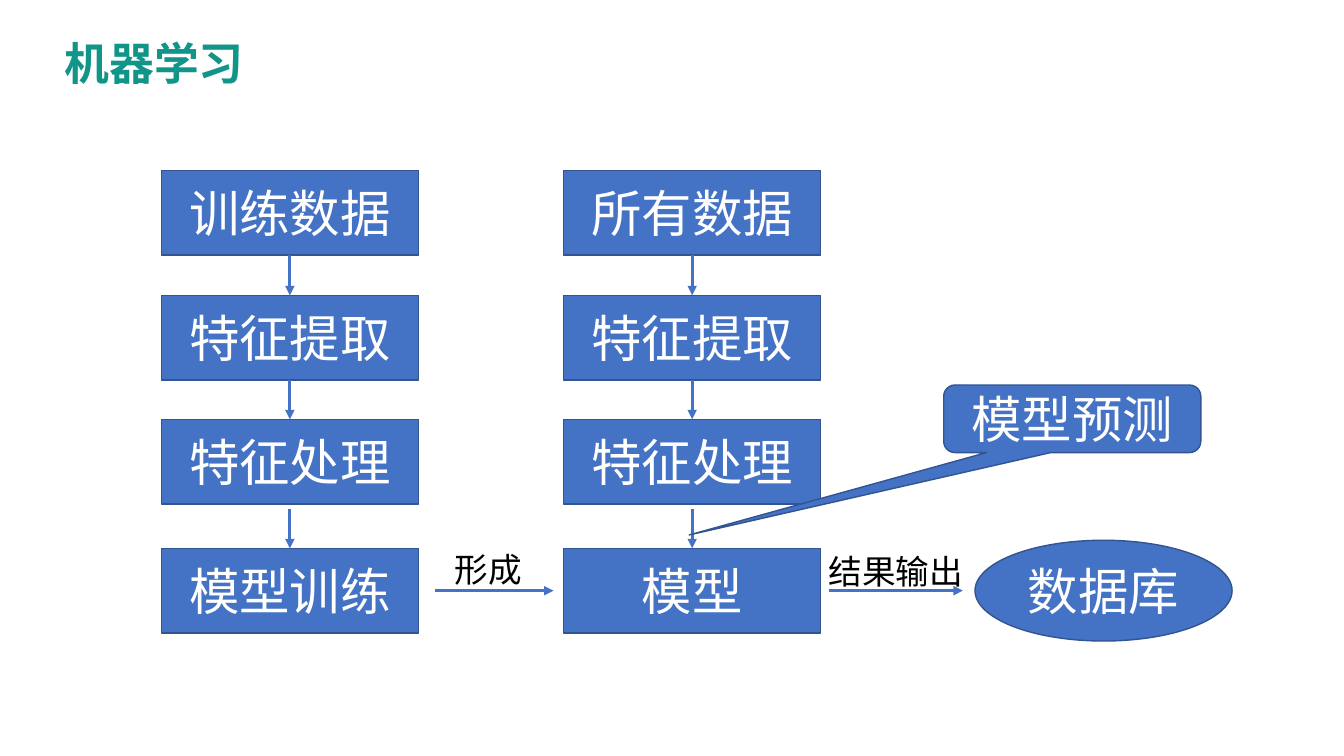
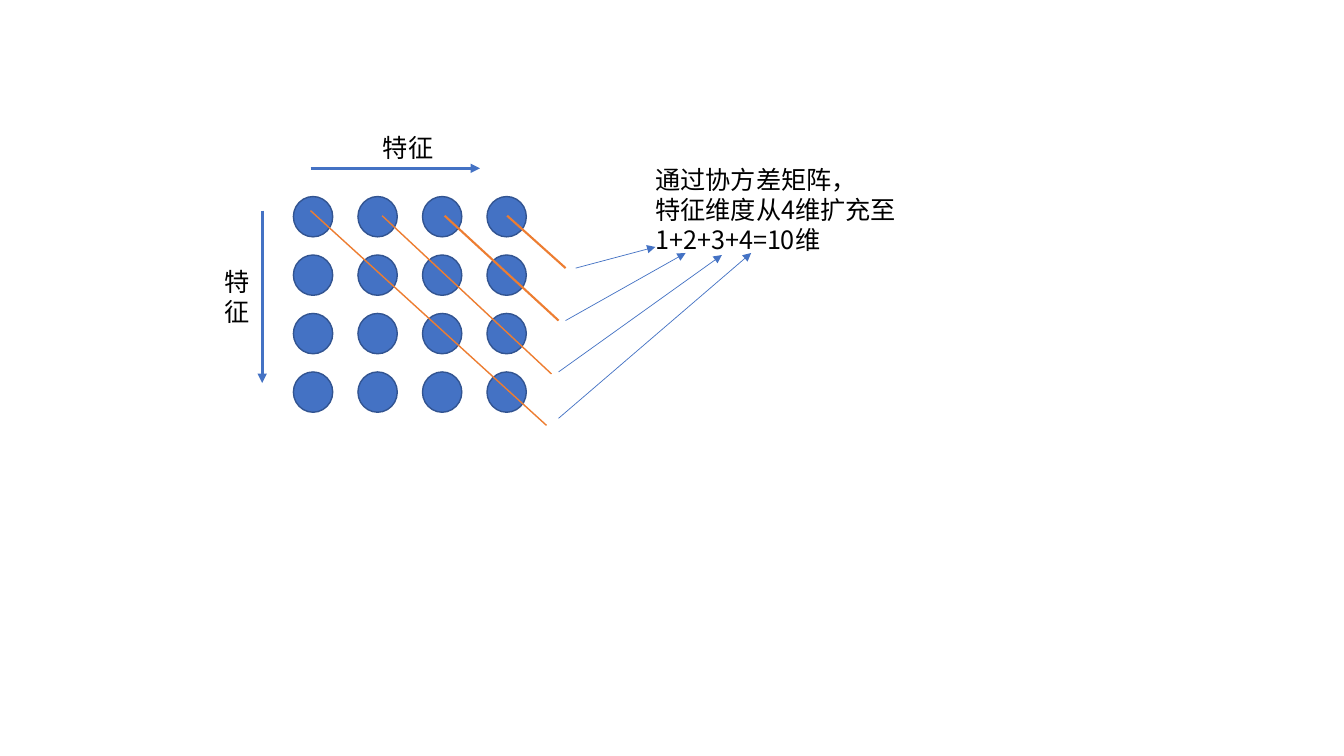
from dataclasses import dataclass

from lxml import etree
from pptx import Presentation
from pptx import util as u
from pptx.dml.color import RGBColor
from pptx.enum import shapes, text
from pptx.oxml.ns import qn


@dataclass(frozen=True)
class Theme:
    font: str = "Noto Sans CJK SC"
    title: str = "109588"
    blue: str = "4472C4"
    outline: str = "325491"
    orange: str = "ED7D31"
    white: str = "FFFFFF"
    black: str = "000000"
    title_size: int = 32
    box_size: int = 36
    label_size: int = 24
    note_size: int = 18
    arrow_width: float = 2.25


THEME = Theme()
RECTANGLE = shapes.MSO_SHAPE.RECTANGLE
ELLIPSE = shapes.MSO_SHAPE.OVAL
CALLOUT = shapes.MSO_SHAPE.ROUNDED_RECTANGULAR_CALLOUT
TOP, BOTTOM = 0, 2

# Machine learning flow
FLOW_TITLE = "机器学习"
FLOW_COLUMNS = [
    (1.6, ["训练数据", "特征提取", "特征处理", "模型训练"]),
    (5.59, ["所有数据", "特征提取", "特征处理", "模型"]),
]
STEP_TOPS = [1.69, 2.93, 4.16, 5.44]
STEP_WIDTH, STEP_HEIGHT = 2.55, 0.84
LAST_ARROW_TOP = 5.05
FLOW_ARROWS = [((4.31, 5.86), (5.49, 5.86)), ((8.22, 5.86), (9.55, 5.86))]
FLOW_LABELS = [("形成", (4.41, 5.4, 0.88, 0.5)), ("结果输出", (8.12, 5.42, 1.55, 0.5))]
DATABASE = ("数据库", (9.67, 5.36, 2.55, 1))
PREDICTION = ("模型预测", (9.36, 3.82, 2.55, 0.67))
PREDICTION_POINTER = (-1.49, 1.72)

# Covariance matrix
MATRIX_SIZE = 4
MATRIX_LEFT, MATRIX_TOP = 2.91, 1.95
COLUMN_STEP, ROW_STEP = 0.64, 0.58
DOT_WIDTH, DOT_HEIGHT = 0.39, 0.4
AXIS_ARROWS = [((2.6, 2.09), (2.6, 3.8)), ((3.08, 1.67), (4.76, 1.67))]
AXIS_LABELS = [(["特征"], (3.7, 1.26, 0.71, 0.4)), (["特", "征"], (2.13, 2.59, 0.45, 1.01))]
EXPANSION = ["通过协方差矩阵，", "特征维度从4维扩充至", "1+2+3+4=10维"]
EXPANSION_PLACE = (6.4, 1.58, 2.61, 1.01)
DIAGONALS = [
    ((3.08, 2.09), (5.42, 4.22), 1),
    ((3.79, 2.14), (5.47, 3.71), 1),
    ((4.41, 2.14), (5.54, 3.18), 1.5),
    ((5.03, 2.14), (5.61, 2.66), 1.5),
]
TERM_ARROWS = [
    ((5.54, 4.15), (7.45, 2.51)),
    ((5.54, 3.69), (7.16, 2.53)),
    ((5.61, 3.18), (6.8, 2.51)),
    ((5.71, 2.66), (6.5, 2.45)),
]


def inches(values):
    return [u.Inches(value) for value in values]


def style_paragraph(paragraph, size, color, alignment, bold=False):
    paragraph.alignment = alignment
    font = paragraph.font
    font.size = u.Pt(size)
    font.bold = bold
    font.color.rgb = RGBColor.from_string(color)
    font.name = THEME.font
    properties = paragraph._p.pPr.find(qn("a:defRPr"))
    etree.SubElement(properties, qn("a:ea")).set("typeface", THEME.font)


def add_title(slide, wording):
    title = slide.shapes.title
    title.left, title.top, title.width, title.height = inches((0.54, 0.3, 4.94, 0.64))
    frame = title.text_frame
    frame.text = wording
    frame.auto_size = text.MSO_AUTO_SIZE.NONE
    frame.vertical_anchor = text.MSO_ANCHOR.MIDDLE
    style_paragraph(frame.paragraphs[0], THEME.title_size, THEME.title,
                    text.PP_ALIGN.LEFT, bold=True)


def add_block(slide, kind, place, wording=""):
    shape = slide.shapes.add_shape(kind, *inches(place))
    shape.shadow.inherit = False
    shape.fill.solid()
    shape.fill.fore_color.rgb = RGBColor.from_string(THEME.blue)
    shape.line.color.rgb = RGBColor.from_string(THEME.outline)
    shape.line.width = u.Pt(1)
    if wording:
        frame = shape.text_frame
        frame.text = wording
        frame.vertical_anchor = text.MSO_ANCHOR.MIDDLE
        style_paragraph(frame.paragraphs[0], THEME.box_size, THEME.white,
                        text.PP_ALIGN.CENTER)
    return shape


def add_label(slide, lines, place, size, wrap=False):
    frame = slide.shapes.add_textbox(*inches(place)).text_frame
    frame.word_wrap = wrap
    frame.text = "\n".join(lines)
    for paragraph in frame.paragraphs:
        style_paragraph(paragraph, size, THEME.black, text.PP_ALIGN.LEFT)


def add_line(slide, start, end, width=THEME.arrow_width, color=THEME.blue, arrow=True):
    connector = slide.shapes.add_connector(
        shapes.MSO_CONNECTOR.STRAIGHT, *inches((*start, *end)))
    connector.line.color.rgb = RGBColor.from_string(color)
    connector.line.width = u.Pt(width)
    if arrow:
        outline = connector.line._get_or_add_ln()
        etree.SubElement(outline, qn("a:tailEnd")).set("type", "triangle")
    etree.SubElement(connector._element.spPr, qn("a:effectLst"))
    return connector


def add_flow_column(slide, left, names):
    steps = [add_block(slide, RECTANGLE, (left, top, STEP_WIDTH, STEP_HEIGHT), name)
             for top, name in zip(STEP_TOPS, names)]
    center = left + STEP_WIDTH / 2
    for index, (upper, lower) in enumerate(zip(steps, steps[1:])):
        is_last = lower is steps[-1]
        start = LAST_ARROW_TOP if is_last else STEP_TOPS[index] + STEP_HEIGHT
        arrow = add_line(slide, (center, start), (center, STEP_TOPS[index + 1]))
        if not is_last:
            arrow.begin_connect(upper, BOTTOM)
        arrow.end_connect(lower, TOP)


def build_flow(presentation):
    slide = presentation.slides.add_slide(presentation.slide_layouts.get_by_name("Title Only"))
    add_title(slide, FLOW_TITLE)
    for left, names in FLOW_COLUMNS:
        add_flow_column(slide, left, names)
    for start, end in FLOW_ARROWS:
        add_line(slide, start, end)
    for wording, place in FLOW_LABELS:
        add_label(slide, [wording], place, THEME.label_size)
    wording, place = DATABASE
    add_block(slide, ELLIPSE, place, wording)
    wording, place = PREDICTION
    callout = add_block(slide, CALLOUT, place, wording)
    for index, value in enumerate(PREDICTION_POINTER):
        callout.adjustments[index] = value


def build_matrix(presentation):
    slide = presentation.slides.add_slide(presentation.slide_layouts.get_by_name("Blank"))
    for row in range(MATRIX_SIZE):
        for column in range(MATRIX_SIZE):
            add_block(slide, ELLIPSE, (MATRIX_LEFT + column * COLUMN_STEP,
                                       MATRIX_TOP + row * ROW_STEP,
                                       DOT_WIDTH, DOT_HEIGHT))
    for start, end in AXIS_ARROWS:
        add_line(slide, start, end)
    for lines, place in AXIS_LABELS:
        add_label(slide, lines, place, THEME.note_size)
    for start, end, width in DIAGONALS:
        add_line(slide, start, end, width, THEME.orange, arrow=False)
    add_label(slide, EXPANSION, EXPANSION_PLACE, THEME.note_size, wrap=True)
    for start, end in TERM_ARROWS:
        add_line(slide, start, end, width=0.5)


def main():
    presentation = Presentation()
    presentation.slide_width = u.Inches(13.33)
    presentation.slide_height = u.Inches(7.5)
    build_flow(presentation)
    build_matrix(presentation)
    presentation.save("out.pptx")


if __name__ == "__main__":
    main()
